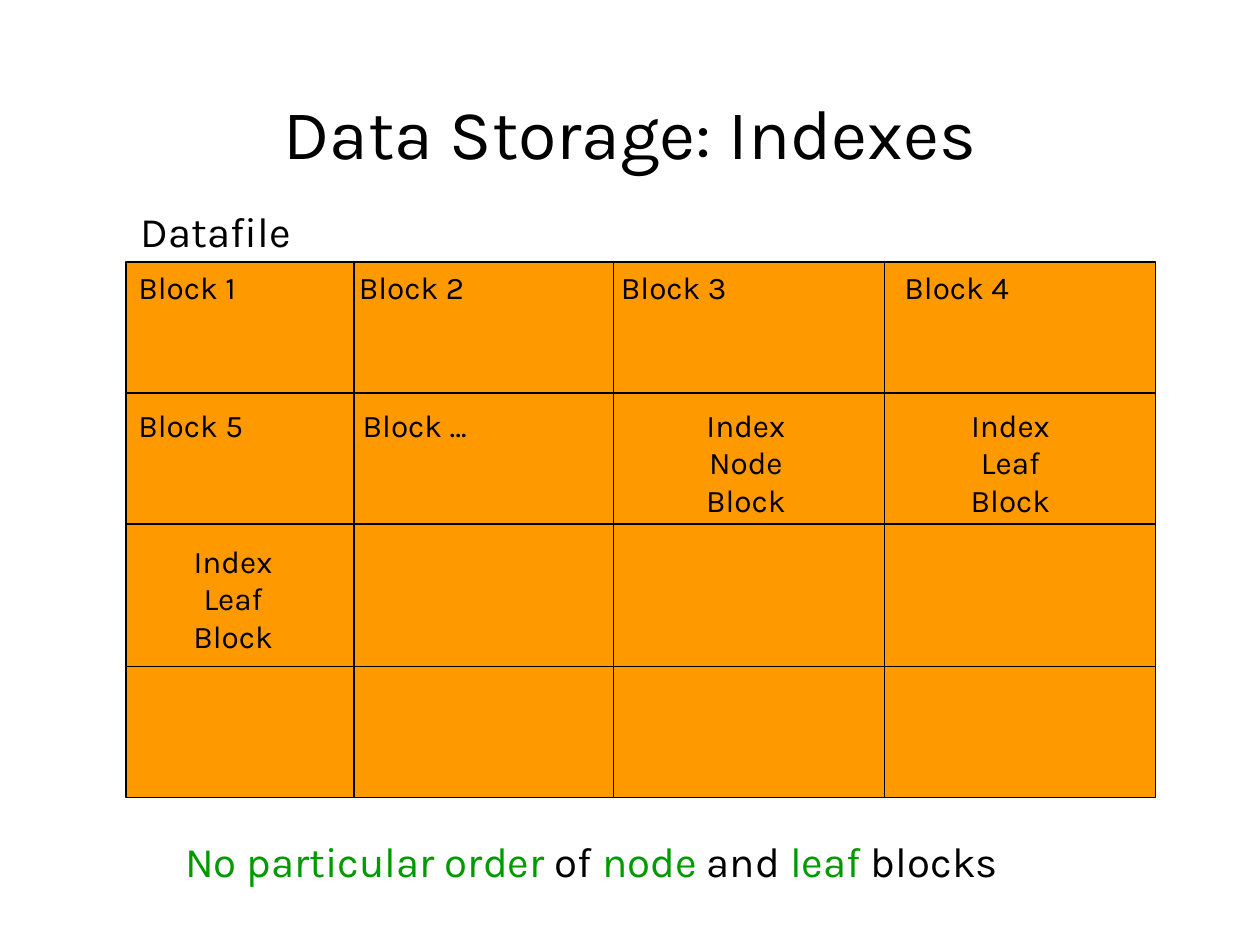
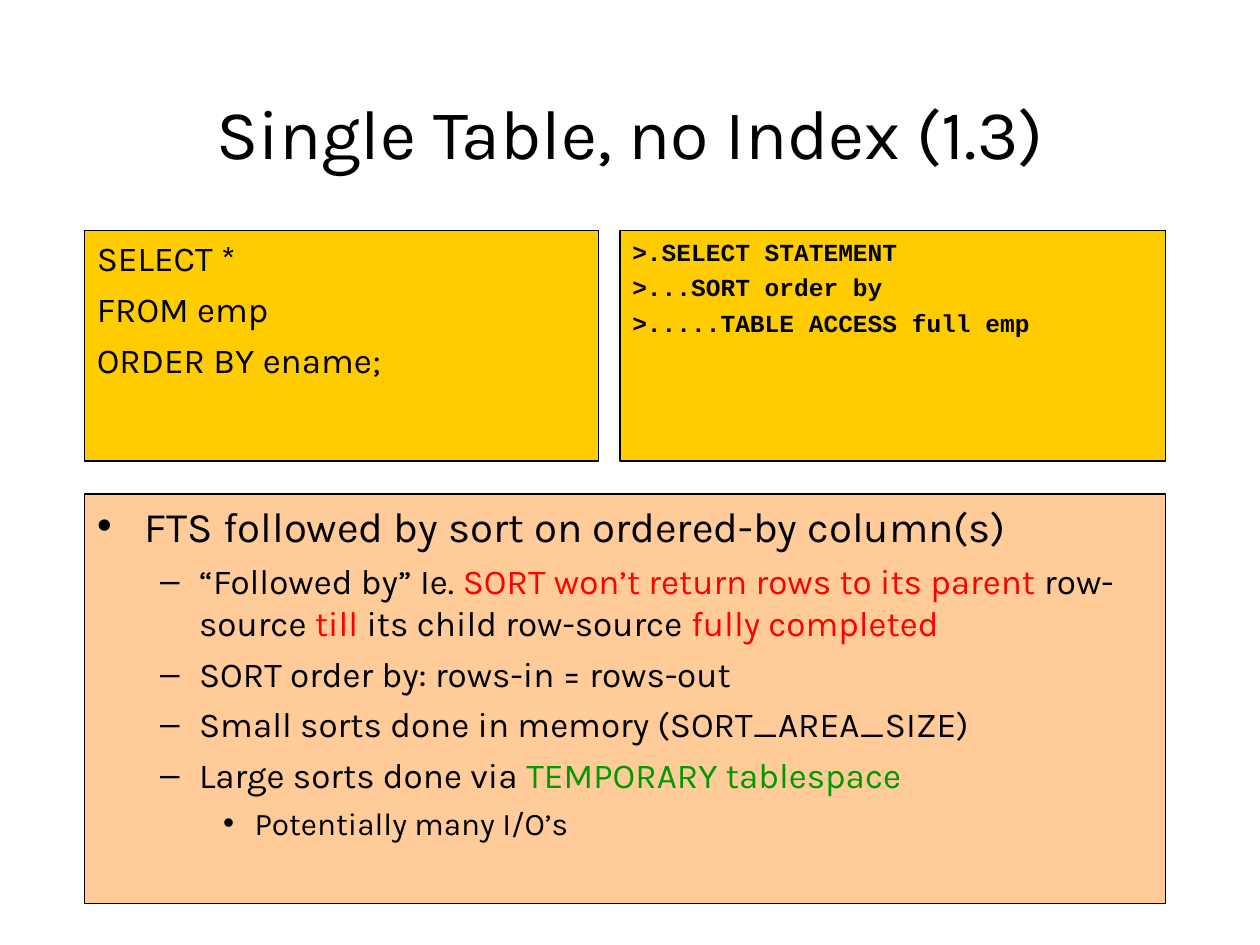
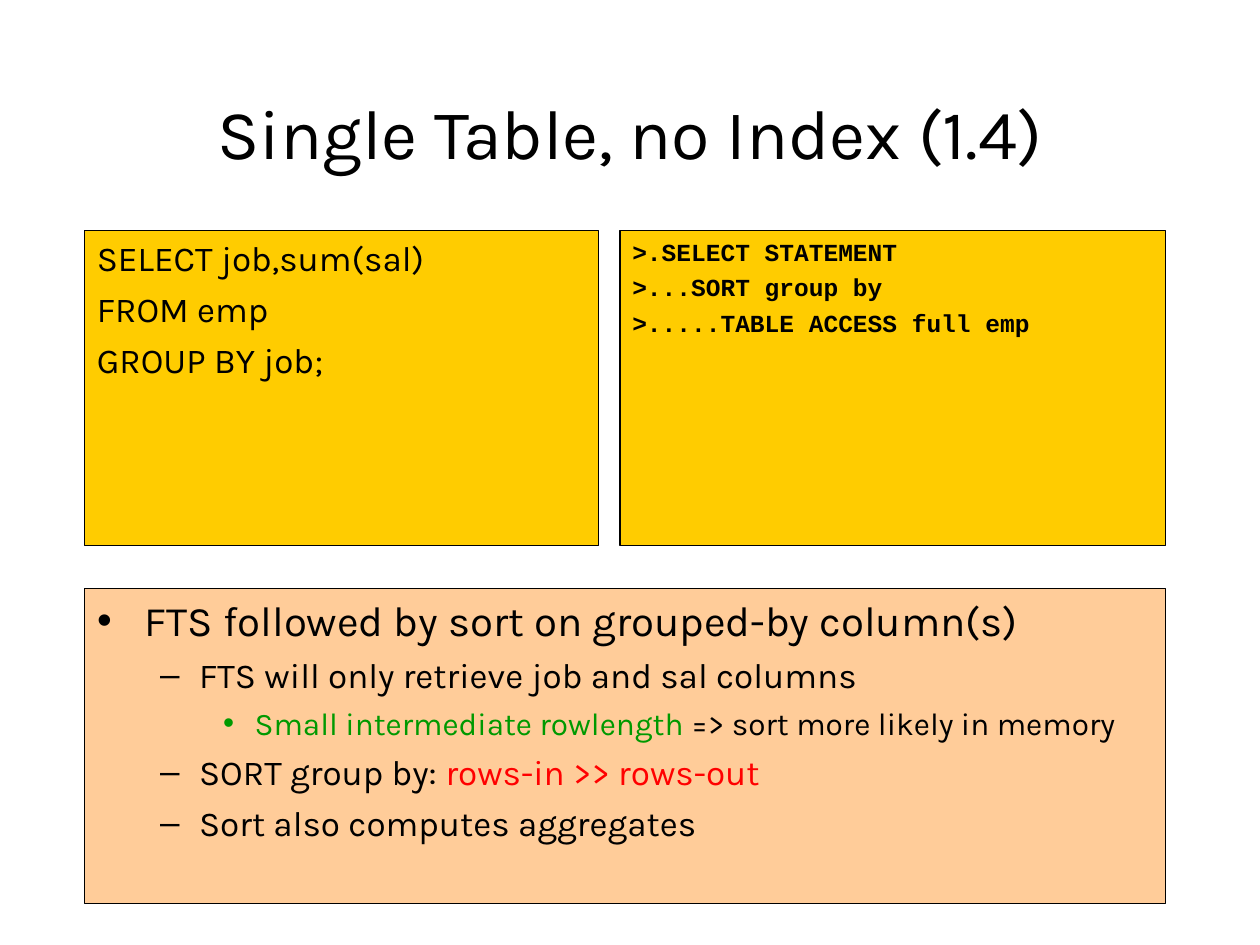
from lxml import etree
from pptx import Presentation
from pptx import util as u
from pptx.dml.color import RGBColor
from pptx.enum import shapes, text
from pptx.oxml import ns

BLACK = RGBColor(0x00, 0x00, 0x00)
GREEN = RGBColor(0x00, 0x99, 0x00)
RED = RGBColor(0xFF, 0x00, 0x00)
ORANGE = RGBColor(0xFF, 0x99, 0x00)
YELLOW = RGBColor(0xFF, 0xCC, 0x00)
PEACH = RGBColor(0xFF, 0xCC, 0x99)

SANS, MONO = "Karla", "Courier New"
LEFT, CENTER = text.PP_ALIGN.LEFT, text.PP_ALIGN.CENTER

# Content: a line is a string or a list of strings and (string, colour) runs
STORAGE_TITLE = "Data Storage: Indexes"
STORAGE_NOTE = [("No particular order", GREEN), " of ", ("node", GREEN),
                " and ", ("leaf", GREEN), " blocks"]

# Block labels: left, row of the grid, width, lines
BLOCK_LABELS = [
    (1, 0, 1.04, ["Block 1"]),
    (2.75, 0, 1.04, ["Block 2"]),
    (4.83, 0, 1.04, ["Block 3"]),
    (7.08, 0, 1.04, ["Block 4"]),
    (1, 1, 1.04, ["Block 5"]),
    (2.78, 1, 1.09, ["Block …"]),
    (5.49, 1, 0.86, ["Index", "Node", "Block"]),
    (7.59, 1, 0.86, ["Index", "Leaf", "Block"]),
    (1.42, 2, 0.86, ["Index", "Leaf", "Block"]),
]

QUERY_SLIDES = [
    {
        "title": "Single Table, no Index (1.3)",
        "panel_height": 1.83,
        "body_top": 3.92,
        "query": ["SELECT *", "FROM emp", "ORDER BY ename;"],
        "plan": [">.SELECT STATEMENT", ">...SORT order by",
                 ">.....TABLE ACCESS full emp"],
        "body": [
            (0, "FTS followed by sort on ordered-by column(s)"),
            (1, ["“Followed by” Ie. ",
                 ("SORT won’t return rows to its parent", RED),
                 " row-source ", ("till", RED),
                 " its child row-source ", ("fully completed", RED)]),
            (1, "SORT order by: rows-in = rows-out"),
            (1, "Small sorts done in memory (SORT_AREA_SIZE)"),
            (1, ["Large sorts done via ", ("TEMPORARY tablespace", GREEN)]),
            (2, "Potentially many I/O’s"),
        ],
    },
    {
        "title": "Single Table, no Index (1.4)",
        "panel_height": 2.5,
        "body_top": 4.67,
        "query": ["SELECT job,sum(sal)", "FROM emp", "GROUP BY job;"],
        "plan": [">.SELECT STATEMENT", ">...SORT group by",
                 ">.....TABLE ACCESS full emp"],
        "body": [
            (0, "FTS followed by sort on grouped-by column(s)"),
            (1, "FTS will only retrieve job and sal columns"),
            (2, [("Small intermediate rowlength", GREEN),
                 " => sort more likely in memory"]),
            (1, ["SORT group by: ", ("rows-in >> rows-out", RED)]),
            (1, "Sort also computes aggregates"),
        ],
    },
]

# Formats
TITLE = {"size": u.Pt(40), "name": SANS, "bold": False}
HEADING = {"size": u.Pt(24), "name": SANS}
LABEL = {"size": u.Pt(18), "name": SANS}
QUERY = {"size": u.Pt(20), "name": SANS}
PLAN = {"size": u.Pt(14), "name": MONO, "bold": True}
# Body levels: size, margin, indent, space before, bullet
LEVELS = [(24, 0.38, -0.38, 6, "•"),
          (20, 0.81, -0.31, 5, "–"),
          (18, 1.25, -0.25, 4.5, "•")]

# Geometry
GRID_LEFT, GRID_TOP, GRID_RIGHT, GRID_BOTTOM = 1, 2.08, 9.17, 6.33
COLUMN_LINES = [2.81, 4.87, 7.02]
ROW_LINES = [3.12, 4.16, 5.29]
LABEL_TOPS = [2.08, 3.17, 4.25]
PANEL_LEFT, PANEL_TOP, PANEL_RIGHT, BODY_BOTTOM = 0.67, 1.83, 9.25, 7.17
PLAN_LEFT, QUERY_WIDTH = 4.92, 4.08


def set_values(target, values):
    for name, value in values.items():
        setattr(target, name, value)


def inches(*lengths):
    return [u.Inches(length) for length in lengths]


def place(shape, left, top, width, height):
    names = ("left", "top", "width", "height")
    set_values(shape, dict(zip(names, inches(left, top, width, height))))


def fill_paragraph(paragraph, line, font, align=LEFT):
    """Write the runs of a line; return the colour of its first run."""
    paragraph.alignment = align
    parts = [line] if isinstance(line, str) else line
    runs = [(part, BLACK) if isinstance(part, str) else part for part in parts]
    for words, colour in runs:
        run = paragraph.add_run()
        run.text = words
        set_values(run.font, font)
        run.font.color.rgb = colour
    return runs[0][1]


def indent_paragraph(paragraph, margin, indent):
    properties = paragraph._p.get_or_add_pPr()
    properties.set("marL", str(u.Inches(margin)))
    properties.set("indent", str(u.Inches(indent)))
    return properties


def add_bullet(properties, character, colour):
    bullet_colour = etree.SubElement(properties, ns.qn("a:buClr"))
    etree.SubElement(bullet_colour, ns.qn("a:srgbClr"), val=str(colour))
    etree.SubElement(properties, ns.qn("a:buChar"), char=character)


def paragraphs_for(frame, lines):
    for index, line in enumerate(lines):
        paragraph = frame.add_paragraph() if index else frame.paragraphs[0]
        yield index, paragraph, line


def outline(shape, colour):
    shape.fill.solid()
    shape.fill.fore_color.rgb = colour
    shape.line.color.rgb = BLACK
    shape.line.width = u.Pt(0.75)


def add_box(parent, colour, *place_values):
    box = parent.add_shape(shapes.MSO_SHAPE.RECTANGLE, *inches(*place_values))
    box.shadow.inherit = False
    outline(box, colour)
    return box


def add_line(parent, *ends):
    line = parent.add_connector(shapes.MSO_CONNECTOR.STRAIGHT, *inches(*ends))
    line.line.color.rgb = BLACK
    line.line.width = u.Pt(0.75)
    etree.SubElement(line._element.spPr, ns.qn("a:effectLst"))


def add_label(slide, lines, font, left, top, width, height):
    label = slide.shapes.add_textbox(*inches(left, top, width, height))
    label.text_frame.word_wrap = False
    align = CENTER if len(lines) > 1 else LEFT
    for _, paragraph, line in paragraphs_for(label.text_frame, lines):
        fill_paragraph(paragraph, line, font, align)


def add_panel(slide, lines, font, space, *place_values):
    panel = add_box(slide.shapes, YELLOW, *place_values)
    frame = panel.text_frame
    set_values(frame, {"word_wrap": True, "vertical_anchor": text.MSO_ANCHOR.TOP})
    for index, paragraph, line in paragraphs_for(frame, lines):
        indent_paragraph(paragraph, 0.38, -0.38)
        paragraph.space_before = u.Pt(space if index else 0)
        fill_paragraph(paragraph, line, font)


def add_slide(presentation, layout, title):
    slide = presentation.slides.add_slide(presentation.slide_layouts[layout])
    shape = slide.shapes.title
    place(shape, 0.75, 0.67, 8.5, 0.75)
    set_values(shape.text_frame, {"auto_size": text.MSO_AUTO_SIZE.NONE,
                                  "vertical_anchor": text.MSO_ANCHOR.MIDDLE})
    fill_paragraph(shape.text_frame.paragraphs[0], title, TITLE, CENTER)
    return slide


def build_storage_slide(presentation):
    slide = add_slide(presentation, 5, STORAGE_TITLE)

    # Datafile grid
    grid = slide.shapes.add_group_shape().shapes
    add_box(grid, ORANGE, GRID_LEFT, GRID_TOP,
            GRID_RIGHT - GRID_LEFT, GRID_BOTTOM - GRID_TOP)
    for y in ROW_LINES:
        add_line(grid, GRID_LEFT, y, GRID_RIGHT, y)
    for x in COLUMN_LINES:
        add_line(grid, x, GRID_TOP, x, GRID_BOTTOM)

    # Labels
    add_label(slide, ["Datafile"], HEADING, 1.02, 1.58, 1.41, 0.5)
    for left, row, width, lines in BLOCK_LABELS:
        add_label(slide, lines, LABEL, left, LABEL_TOPS[row],
                  width, 0.1 + 0.3 * len(lines))
    add_label(slide, [STORAGE_NOTE], HEADING, 1.37, 6.58, 6.92, 0.5)


def build_query_slide(presentation, content):
    slide = add_slide(presentation, 1, content["title"])

    # Explanation
    body = slide.placeholders[1]
    top = content["body_top"]
    place(body, PANEL_LEFT, top, PANEL_RIGHT - PANEL_LEFT, BODY_BOTTOM - top)
    outline(body, PEACH)
    body.text_frame.auto_size = text.MSO_AUTO_SIZE.NONE
    for index, paragraph, (level, line) in paragraphs_for(
            body.text_frame, content["body"]):
        size, margin, indent, space, bullet = LEVELS[level]
        paragraph.level = level
        paragraph.space_before = u.Pt(space if index else 0)
        properties = indent_paragraph(paragraph, margin, indent)
        colour = fill_paragraph(paragraph, line,
                                {"size": u.Pt(size), "name": SANS})
        add_bullet(properties, bullet, colour)

    # Execution plan and query
    height = content["panel_height"]
    add_panel(slide, content["plan"], PLAN, 3.5,
              PLAN_LEFT, PANEL_TOP, PANEL_RIGHT - PLAN_LEFT, height)
    add_panel(slide, content["query"], QUERY, 5,
              PANEL_LEFT, PANEL_TOP, QUERY_WIDTH, height)


def main():
    presentation = Presentation()
    presentation.slide_width, presentation.slide_height = inches(10, 7.5)
    build_storage_slide(presentation)
    for content in QUERY_SLIDES:
        build_query_slide(presentation, content)
    presentation.save("out.pptx")


if __name__ == "__main__":
    main()
